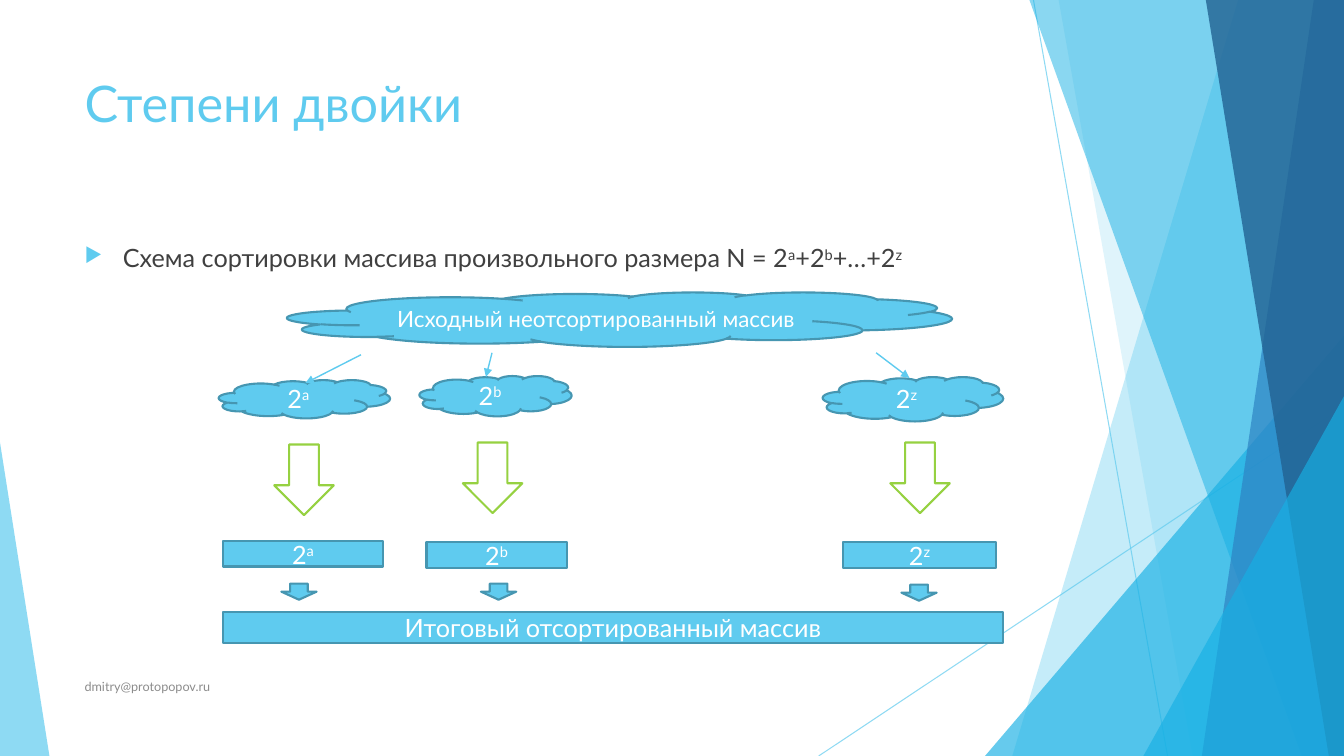
"""Build the slide about sorting an array split into powers of two."""
from lxml.etree import SubElement
from pptx import Presentation
from pptx.dml.color import RGBColor
from pptx.enum.shapes import MSO_CONNECTOR, MSO_SHAPE as Preset
from pptx.enum.text import MSO_ANCHOR as Anchor, PP_ALIGN as Align
from pptx.oxml.ns import qn
from pptx.util import Inches, Pt

SKY = RGBColor(0x5F, 0xCB, 0xEF)
EDGE = RGBColor(0x46, 0x96, 0xB1)
CYAN = RGBColor(0x17, 0xB0, 0xE4)
BLUE = RGBColor(0x2E, 0x83, 0xC3)
NAVY = RGBColor(0x22, 0x62, 0x92)
LIME = RGBColor(0x96, 0xD1, 0x41)
WHITE = RGBColor(0xFF, 0xFF, 0xFF)
DARK = RGBColor(0x40, 0x40, 0x40)
GREY = RGBColor(0x8C, 0x8C, 0x8C)
WIDTH, HEIGHT = 13.33, 7.5

TITLE = "Степени двойки"
SCHEME = "Схема сортировки массива произвольного размера N = 2|a|+2|b|+…+2|z"
SOURCE_ARRAY = "Исходный неотсортированный массив"
SORTED_ARRAY = "Итоговый отсортированный массив"
AUTHOR = "dmitry@protopopov.ru"

BRANCHES = [
    dict(power="2|a", cloud=(2.17, 3.77, 1.7, 0.38), bar=(2.21, 5.37, 1.59, 0.25),
         link=(3.58, 3.52, 3.03, 3.8), sort=(2.72, 4.41), merge=(2.79, 5.79)),
    dict(power="2|b", cloud=(4.16, 3.73, 1.51, 0.4), bar=(4.23, 5.38, 1.39, 0.26),
         link=(4.88, 3.5, 4.82, 3.74), sort=(4.59, 4.39), merge=(4.77, 5.79)),
    dict(power="2|z", cloud=(8.16, 3.74, 1.79, 0.44), bar=(8.36, 5.38, 1.52, 0.26),
         link=(8.69, 3.5, 9.02, 3.75), sort=(8.83, 4.39), merge=(8.94, 5.8)),
]
SORT_SIZE, MERGE_SIZE = (0.59, 0.7), (0.35, 0.16)

RAYS = [(10.25, 0, 11.58, HEIGHT), (WIDTH, 4.03, 8.12, HEIGHT)]
FACETS = [
    ("band", 12.28, 10.04, SKY, 36),
    ("band", 10.5, 11.83, SKY, 20),
    ("corner", 3.33, 9.77, CYAN, 66),
    ("band", 10.21, 12.91, CYAN, 50),
    ("band", 13.03, 11.92, BLUE, 70),
    ("band", 11.96, 13.18, NAVY, 80),
    ("corner", 3.93, 11.34, CYAN, 66),
]

deck = Presentation()
deck.slide_width, deck.slide_height = Inches(WIDTH), Inches(HEIGHT)
slide = deck.slides.add_slide(deck.slide_layouts[6])
shapes = slide.shapes


def inches(values):
    return [Inches(value) for value in values]


def set_alpha(part, percent):
    color = next(part._element.spPr.iter(qn("a:srgbClr")))
    SubElement(color, qn("a:alpha"), val=str(percent * 1000))


def paint(part, fill, line=None, alpha=None):
    part.shadow.inherit = False
    part.fill.solid()
    part.fill.fore_color.rgb = fill
    if line is None:
        part.line.fill.background()
    else:
        part.line.color.rgb = line
        part.line.width = Pt(1.5)
    if alpha:
        set_alpha(part, alpha)
    return part


def add_preset(preset, box, fill=SKY, line=EDGE, alpha=None):
    return paint(shapes.add_shape(preset, *inches(box)), fill, line, alpha)


def add_triangle(box, apex, fill, alpha):
    add_preset(Preset.ISOSCELES_TRIANGLE, box, fill, None, alpha).adjustments[0] = apex


def add_band(top, bottom, fill, alpha):
    start, *rest = [inches(point) for point in
                    ((top, 0), (WIDTH, 0), (WIDTH, HEIGHT), (bottom, HEIGHT))]
    outline = shapes.build_freeform(*start)
    outline.add_line_segments(rest, close=True)
    paint(outline.convert_to_shape(), fill, alpha=alpha)


def add_line(ends, width, alpha=None, arrow=False):
    line = shapes.add_connector(MSO_CONNECTOR.STRAIGHT, *inches(ends))
    line.line.color.rgb = SKY
    line.line.width = Pt(width)
    if alpha:
        set_alpha(line, alpha)
    if arrow:
        SubElement(line.line._get_or_add_ln(), qn("a:tailEnd"), type="triangle")
    SubElement(line._element.spPr, qn("a:effectLst"))


def write(holder, text, size=18, color=WHITE, align=Align.CENTER,
          anchor=Anchor.MIDDLE, bullet=None):
    """Write text in which every second part between bars is raised."""
    frame = holder.text_frame
    frame.word_wrap = True
    frame.vertical_anchor = anchor
    paragraph = frame.paragraphs[0]
    paragraph.alignment = align
    for index, part in enumerate(text.split("|")):
        run = paragraph.add_run()
        run.text = part
        run.font.name, run.font.size, run.font.color.rgb = "Lato", Pt(size), color
        if index % 2:
            run.font._element.set("baseline", "30000")
    if bullet:
        paragraph.space_before = Pt(10)
        props = paragraph._p.get_or_add_pPr()
        props.set("marL", str(Inches(0.38)))
        props.set("indent", str(-Inches(0.38)))
        SubElement(SubElement(props, qn("a:buClr")), qn("a:srgbClr"), val=str(SKY))
        SubElement(props, qn("a:buSzPct"), val="80000")
        SubElement(props, qn("a:buChar"), char=bullet)


def add_text(box, text, **style):
    write(shapes.add_textbox(*inches(box)), text, align=Align.LEFT, **style)


for ray in RAYS:
    add_line(ray, 0.75, alpha=70)
for kind, first, second, fill, alpha in FACETS:
    if kind == "band":
        add_band(first, second, fill, alpha)
    else:
        add_triangle((second, first, WIDTH - second, HEIGHT - first), 1, fill, alpha)
add_triangle((0, 4.39, 0.49, 3.11), 0, SKY, 70)

add_text((0.74, 0.67, 9.4, 1.44), TITLE, size=36, color=SKY, anchor=Anchor.TOP)
add_text((0.74, 2.36, 9.4, 4.24), SCHEME, color=DARK, anchor=Anchor.TOP, bullet="▶")
add_text((0.74, 6.61, 6.89, 0.4), AUTHOR, size=9, color=GREY)

write(add_preset(Preset.CLOUD, (2.85, 2.9, 6.59, 0.54)), SOURCE_ARRAY, size=16)
write(add_preset(Preset.RECTANGLE, (2.21, 6.07, 7.74, 0.31)), SORTED_ARRAY)
for branch in BRANCHES:
    write(add_preset(Preset.CLOUD, branch["cloud"]), branch["power"])
    write(add_preset(Preset.RECTANGLE, branch["bar"]), branch["power"])
    add_line(branch["link"], 1, arrow=True)
    add_preset(Preset.DOWN_ARROW, branch["merge"] + MERGE_SIZE)
    add_preset(Preset.DOWN_ARROW, branch["sort"] + SORT_SIZE, WHITE, LIME)

deck.save("out.pptx")
